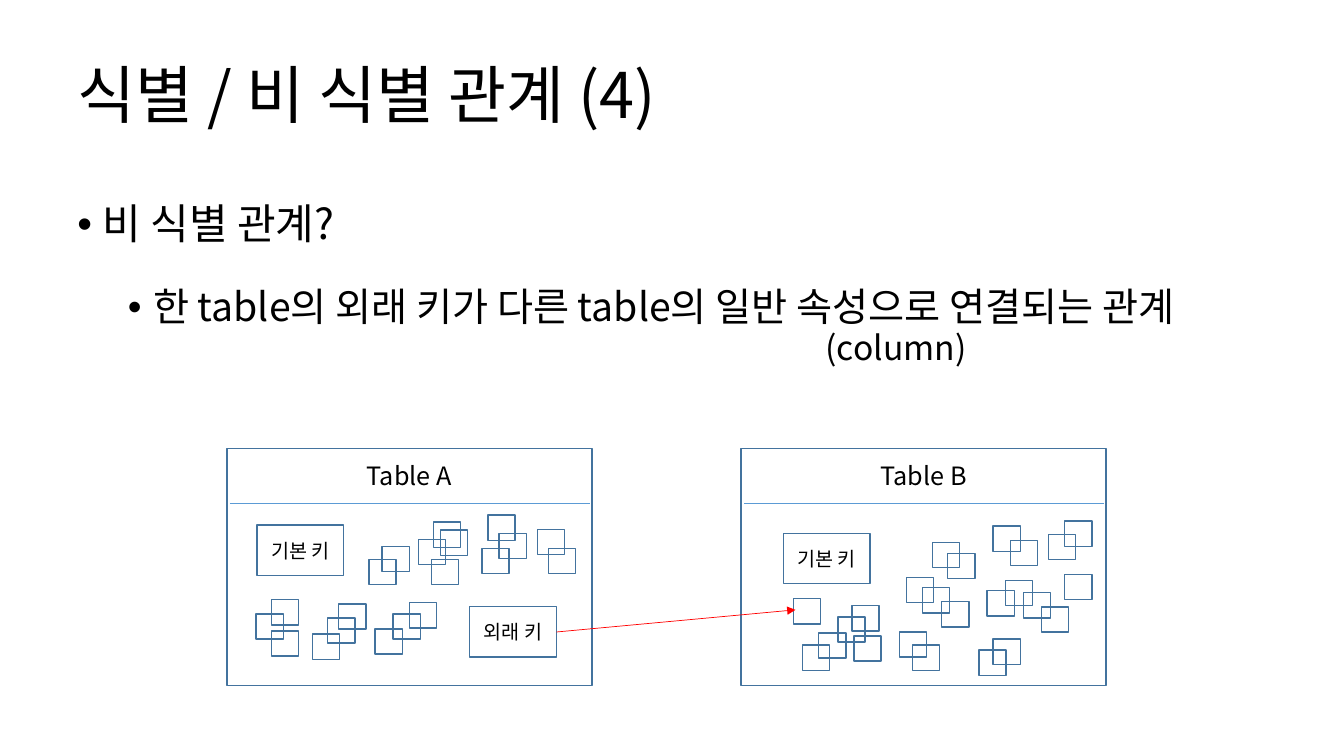
import pptx
import pptx.util
import pptx.dml.color
import pptx.enum.shapes
import pptx.enum.text
import pptx.oxml
import pptx.oxml.ns
from lxml import etree

FONT = "Noto Sans CJK KR"
COLORS = {"text": "000000", "outline": "43739E", "divider": "5B9BD5", "link": "FF0000"}
SLIDE = (13.33, 7.5)
TABLE = (3.62, 2.35)
KEY = (0.86, 0.5)
COLUMN = (0.27, 0.25)
DIVIDER_DROP = 0.54

TITLE = "식별 / 비 식별 관계 (4)"
# text, size, left margin, hanging indent, space before in points
BODY = [
    ("비 식별 관계?", 30, 0.25, -0.25, 0),
    ("한 table의 외래 키가 다른 table의 일반 속성으로 연결되는 관계", 28, 0.75, -0.25, 28),
    ("(column)", 24, 7.42, 0, 1),
]
# Keys and columns are placed from the top left corner of their table
TABLES = [
    {"name": "Table A", "at": (2.25, 4.45),
     "keys": [("기본 키", 0.3, 0.76), ("외래 키", 2.41, 1.57)],
     "columns": [
         (2.53, 0.99), (2.59, 0.66), (2.7, 0.84), (2.05, 0.73), (1.9, 0.9),
         (2.03, 1.1), (1.54, 0.97), (3.08, 0.8), (3.19, 0.99), (1.41, 1.1),
         (1.81, 1.53), (1.65, 1.64), (1.47, 1.79), (1.11, 1.54), (1, 1.68),
         (0.85, 1.84), (0.44, 1.5), (0.29, 1.64), (0.44, 1.81), (2.12, 0.81)]},
    {"name": "Table B", "at": (7.35, 4.45),
     "keys": [("기본 키", 0.42, 0.84)],
     "columns": [
         (1.9, 0.93), (2.05, 1.04), (1.64, 1.28), (1.8, 1.38), (2.5, 0.77),
         (2.67, 0.91), (3.21, 0.72), (3.05, 0.85), (2.44, 1.41), (2.62, 1.31),
         (2.8, 1.43), (2.98, 1.57), (3.21, 1.25), (0.52, 1.49), (1.99, 1.52),
         (2.5, 1.89), (2.36, 2), (1.57, 1.82), (1.7, 1.95), (1.1, 1.56),
         (0.96, 1.67), (1.12, 1.86), (0.77, 1.83), (0.61, 1.95)]},
]
LINK = ((5.52, 6.27), (7.89, 6.05))


def inches(*values):
    """Convert numbers to lengths in inches."""
    return [pptx.util.Inches(value) for value in values]


def color(name):
    """Look up a named colour."""
    return pptx.dml.color.RGBColor.from_string(COLORS[name])


def write(para, text, size, align=None):
    """Put one formatted span of text into a paragraph."""
    para.alignment = align
    span = para.add_run()
    span.text = text
    span.font.size = pptx.util.Pt(size)
    span.font.name = FONT
    span.font.color.rgb = color("text")
    east_asian = etree.SubElement(span.font._element, pptx.oxml.ns.qn("a:ea"))
    east_asian.set("typeface", FONT)


def add_text(page, box, text=None, size=18, align=None, anchor="TOP"):
    """Add a wrapping text box and return its frame."""
    frame = page.shapes.add_textbox(*inches(*box)).text_frame
    frame.word_wrap = True
    frame.vertical_anchor = pptx.enum.text.MSO_ANCHOR[anchor]
    if text:
        write(frame.paragraphs[0], text, size, align)
    return frame


def add_box(page, left, top, size, label=None):
    """Add an outlined, unfilled rectangle with an optional label."""
    kind = pptx.enum.shapes.MSO_SHAPE.RECTANGLE
    shape = page.shapes.add_shape(kind, *inches(left, top, *size))
    shape.shadow.inherit = False
    shape.fill.background()
    shape.line.color.rgb = color("outline")
    shape.line.width = pptx.util.Pt(1)
    if label:
        frame = shape.text_frame
        frame.vertical_anchor = pptx.enum.text.MSO_ANCHOR.MIDDLE
        write(frame.paragraphs[0], label, 14, pptx.enum.text.PP_ALIGN.CENTER)


def add_line(page, start, end, name, arrow=False):
    """Add a thin straight line, with an arrowhead at its end if asked."""
    kind = pptx.enum.shapes.MSO_CONNECTOR.STRAIGHT
    line = page.shapes.add_connector(kind, *inches(*start, *end))
    line.line.color.rgb = color(name)
    line.line.width = pptx.util.Pt(0.5)
    properties = line._element.spPr
    if arrow:
        head = etree.SubElement(properties.find(pptx.oxml.ns.qn("a:ln")),
                                pptx.oxml.ns.qn("a:tailEnd"))
        head.set("type", "triangle")
    etree.SubElement(properties, pptx.oxml.ns.qn("a:effectLst"))


def add_body(page):
    """Add the bulleted definition with its note on the last line."""
    frame = add_text(page, (0.67, 1.97, 12.37, 2.1))
    for index, (text, size, margin, indent, before) in enumerate(BODY):
        para = frame.add_paragraph() if index else frame.paragraphs[0]
        write(para, text, size)
        para.line_spacing = 0.9
        para.space_before = pptx.util.Pt(before)
        properties = para._p.get_or_add_pPr()
        properties.set("marL", str(pptx.util.Inches(margin)))
        properties.set("indent", str(pptx.util.Inches(indent)))
        if indent:
            font = etree.SubElement(properties, pptx.oxml.ns.qn("a:buFont"))
            font.set("typeface", "Arial")
            bullet = etree.SubElement(properties, pptx.oxml.ns.qn("a:buChar"))
            bullet.set("char", "•")


def add_entity(page, entity):
    """Draw one table with its heading, divider, keys and columns."""
    left, top = entity["at"]
    width = TABLE[0]
    add_box(page, left, top, TABLE)
    divider = top + DIVIDER_DROP
    add_line(page, (left + 0.03, divider), (left + width - 0.02, divider), "divider")
    add_text(page, (left, top + 0.07, width, 0.4), entity["name"], 18,
             pptx.enum.text.PP_ALIGN.CENTER)
    for label, across, down in entity["keys"]:
        add_box(page, left + across, top + down, KEY, label)
    for across, down in entity["columns"]:
        add_box(page, left + across, top + down, COLUMN)


deck = pptx.Presentation()
deck.slide_width, deck.slide_height = inches(*SLIDE)
page = deck.slides.add_slide(deck.slide_layouts[6])
add_text(page, (0.67, 0.3, 12, 1.25), TITLE, 45, anchor="MIDDLE")
add_body(page)
for entity in TABLES:
    add_entity(page, entity)
add_line(page, *LINK, "link", arrow=True)
deck.save("out.pptx")
